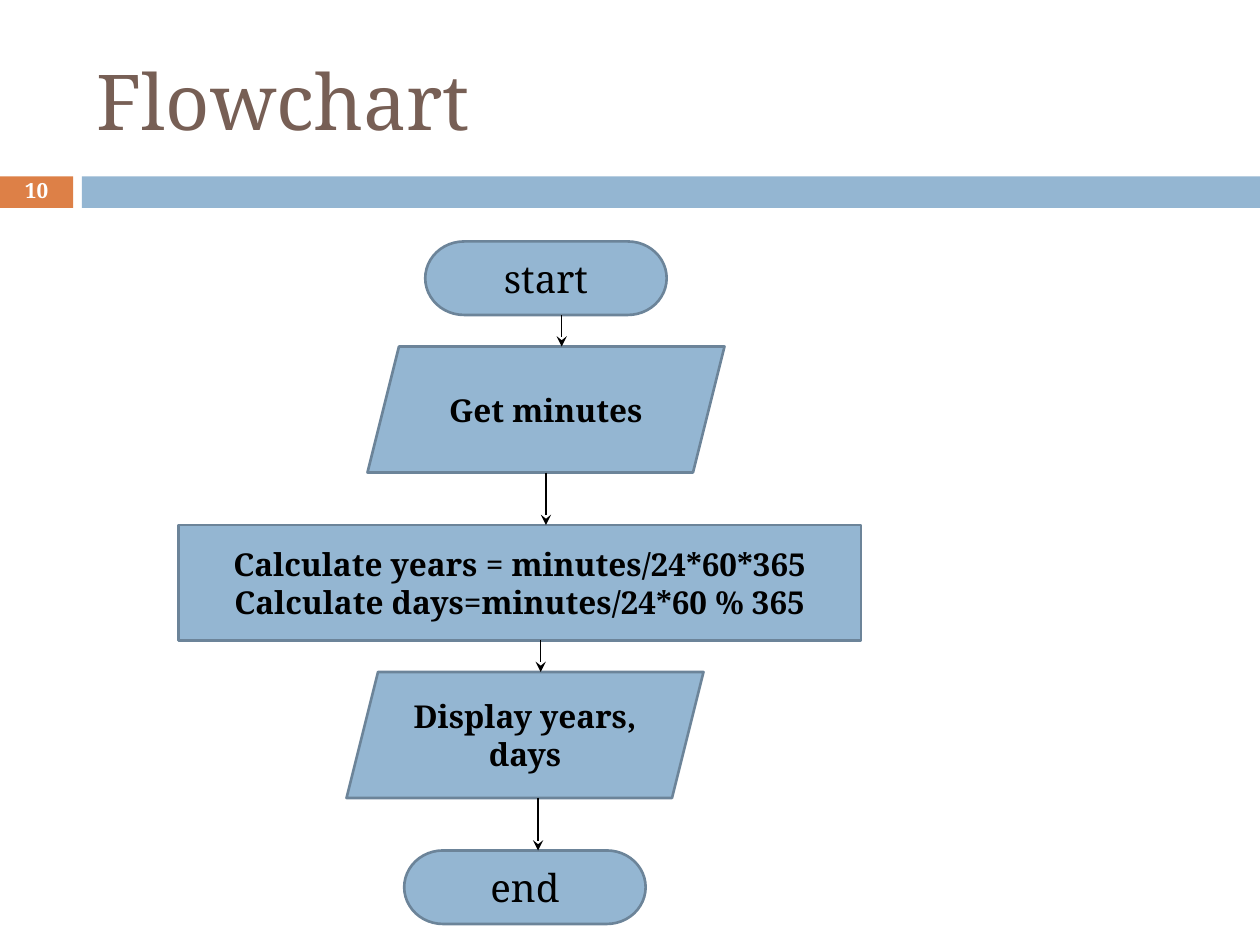
import pptx
import pptx.util
import pptx.dml.color
import pptx.enum.shapes
import pptx.enum.text
import pptx.oxml.ns
import lxml.etree

SHAPE = pptx.enum.shapes.MSO_SHAPE
ALIGN = pptx.enum.text.PP_ALIGN

# Content: shape kind, paragraphs, left, top (in grid units)
STEPS = [
    ("terminal", ["start"], 40.5, 23),
    ("data", ["Get minutes"], 35, 33),
    ("process", ["Calculate years = minutes/24*60*365",
                 "Calculate days=minutes/24*60 % 365"], 17, 50),
    ("data", ["Display years, days"], 33, 64),
    ("terminal", ["end"], 38.5, 81),
]
# Column of the arrow that leaves each step
ARROW_COLUMNS = [53.5, 52, 51.5, 51.25]

# Preset, columns, rows and text style of each kind
KINDS = {
    "terminal": (SHAPE.FLOWCHART_TERMINATOR, 23, 7, {"size": "terminal"}),
    "data": (SHAPE.PARALLELOGRAM, 34, 12, {"size": "step", "bold": True}),
    "process": (SHAPE.FLOWCHART_PROCESS, 65, 11, {"size": "step", "bold": True}),
}

THEME = {
    "font": "Noto Serif",
    "colors": {"blue": "94B6D2", "orange": "DD8047", "edge": "6C8499",
               "title": "775F55", "black": "000000", "white": "FFFFFF"},
    "sizes": {"title": 44, "number": 11.9, "terminal": 22, "step": 18},
    "edge": 1.5,
    "arrow": 0.79,
}


def unit(count):
    """Twelve grid units make an inch."""
    return pptx.util.Inches(count / 12)


def color(name):
    return pptx.dml.color.RGBColor.from_string(THEME["colors"][name])


def write(shape, lines, size, ink="black", bold=False, align=ALIGN.CENTER, spacing=None):
    frame = shape.text_frame
    frame.word_wrap = True
    frame.vertical_anchor = pptx.enum.text.MSO_ANCHOR.MIDDLE
    for index, line in enumerate(lines):
        para = frame.add_paragraph() if index else frame.paragraphs[0]
        para.alignment = align
        if spacing:
            para.line_spacing = spacing
        span = para.add_run()
        span.text = line
        span.font.name = THEME["font"]
        span.font.size = pptx.util.Pt(THEME["sizes"][size])
        span.font.bold = bold
        span.font.color.rgb = color(ink)


def add_box(page, preset, left, top, width, height, fill, edge=None):
    box = page.shapes.add_shape(preset, left, top, width, height)
    box.shadow.inherit = False
    box.fill.solid()
    box.fill.fore_color.rgb = color(fill)
    if edge:
        box.line.color.rgb = color(edge)
        box.line.width = pptx.util.Pt(THEME["edge"])
    else:
        box.line.fill.background()
    return box


def add_arrow(page, column, top, bottom):
    arrow = page.shapes.add_connector(
        pptx.enum.shapes.MSO_CONNECTOR.STRAIGHT,
        unit(column), unit(top), unit(column), unit(bottom))
    arrow.line.color.rgb = color("black")
    arrow.line.width = pptx.util.Pt(THEME["arrow"])
    qn = pptx.oxml.ns.qn
    lxml.etree.SubElement(arrow.line._get_or_add_ln(), qn("a:tailEnd"), type="stealth")
    lxml.etree.SubElement(arrow._element.spPr, qn("a:effectLst"))


deck = pptx.Presentation()
deck.slide_width, deck.slide_height = unit(120), unit(90)
page = deck.slides.add_slide(deck.slide_layouts[6])
inches = pptx.util.Inches

# Header band with slide number
band_top, band_height = inches(1.4), inches(0.25)
number = add_box(page, SHAPE.RECTANGLE, 0, band_top, inches(0.58), band_height, "orange")
write(number, ["10"], size="number", ink="white", bold=True, spacing=0.8)
add_box(page, SHAPE.RECTANGLE, inches(0.65), band_top, inches(9.35), band_height, "blue")

# Title
title = page.shapes.add_textbox(unit(8), unit(3), unit(107), unit(13))
write(title, ["Flowchart"], size="title", ink="title", align=ALIGN.LEFT)

# Flowchart steps
for kind, lines, left, top in STEPS:
    preset, columns, rows, style = KINDS[kind]
    step = add_box(page, preset, unit(left), unit(top), unit(columns), unit(rows),
                   "blue", edge="edge")
    write(step, lines, **style)

# Arrows span the gap between neighbouring steps
for column, upper, lower in zip(ARROW_COLUMNS, STEPS, STEPS[1:]):
    add_arrow(page, column, upper[3] + KINDS[upper[0]][2], lower[3])

deck.save("out.pptx")
